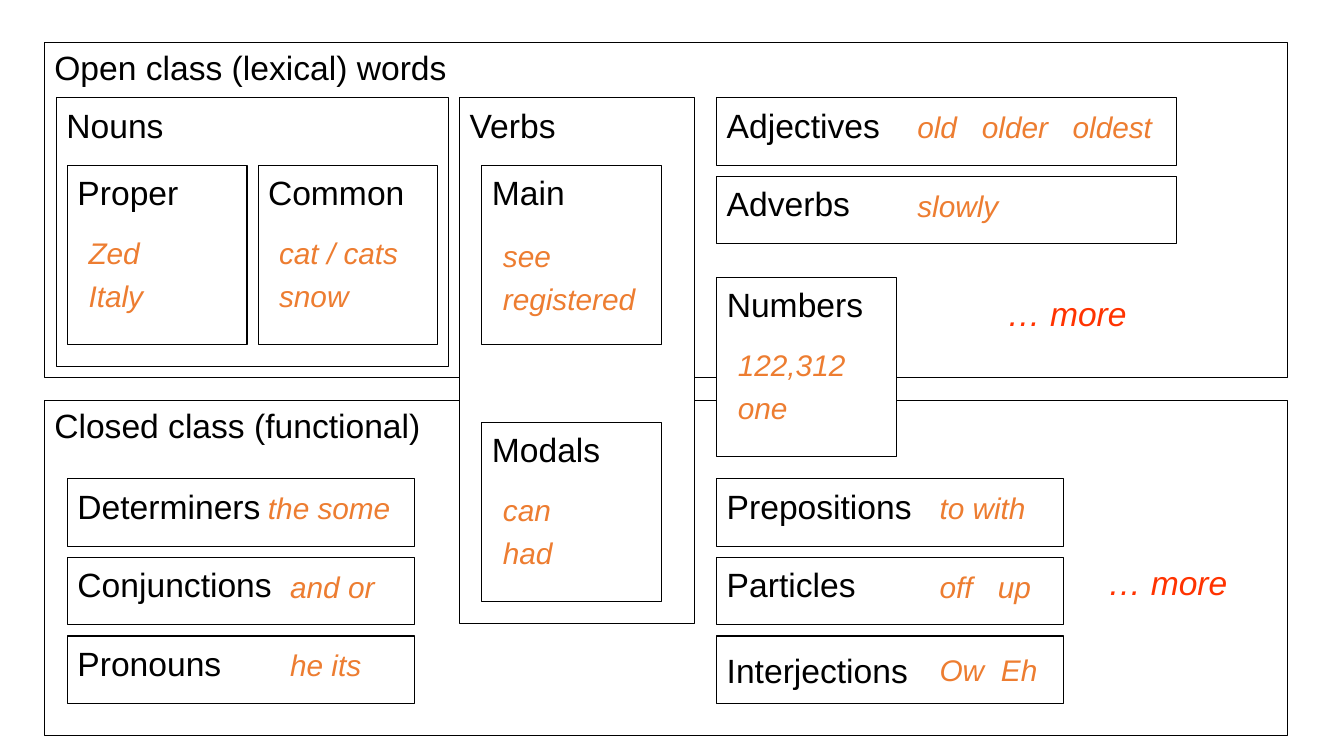
import pptx
import pptx.util
import pptx.dml.color
import pptx.enum.shapes
import pptx.enum.text
import pptx.oxml
import pptx.oxml.ns
from pptx.util import Inches

COLORS = {"ink": "000000", "paper": "FFFFFF", "example": "ED7D31", "more": "FF3300"}
LABEL_SIZE = 24
EXAMPLE_SIZE = 21.3
SQUARE = 1.78
ROW_H = 0.67
ROW_STEP = 0.78


def rgb(name):
    return pptx.dml.color.RGBColor.from_string(COLORS[name])


def add_tabs(p, stops):
    tabs = pptx.oxml.parse_xml("<a:tabLst %s/>" % pptx.oxml.ns.nsdecls("a"))
    for stop in stops:
        tab = tabs.makeelement(pptx.oxml.ns.qn("a:tab"), {"pos": str(Inches(stop)), "algn": "l"})
        tabs.append(tab)
    p._p.get_or_add_pPr().append(tabs)


def write(tf, lines, size, color, italic=False, tabs=()):
    for i, line in enumerate(lines):
        p = tf.paragraphs[0] if i == 0 else tf.add_paragraph()
        if tabs:
            add_tabs(p, tabs)
        p.alignment = pptx.enum.text.PP_ALIGN.LEFT
        if i:
            p.space_before = pptx.util.Pt(5)
        r = p.add_run()
        r.text = line
        r.font.name = "Arial"
        r.font.size = pptx.util.Pt(size)
        r.font.italic = italic
        r.font.color.rgb = rgb(color)


def add_text(s, x, y, w, h, lines, size, color, italic=False, tabs=()):
    tf = s.shapes.add_textbox(Inches(x), Inches(y), Inches(w), Inches(h)).text_frame
    tf.word_wrap = True
    tf.auto_size = pptx.enum.text.MSO_AUTO_SIZE.SHAPE_TO_FIT_TEXT
    write(tf, lines, size, color, italic, tabs)


def add_label(s, x, y, w, text):
    add_text(s, x, y, w, 0.5, [text], LABEL_SIZE, "ink")


def add_more(s, x, y, w):
    add_text(s, x, y, w, 0.5, ["… more"], LABEL_SIZE, "more", True)


def add_box(s, x, y, w, h, filled=True):
    sp = s.shapes.add_shape(pptx.enum.shapes.MSO_SHAPE.RECTANGLE,
                            Inches(x), Inches(y), Inches(w), Inches(h))
    sp.shadow.inherit = False
    if filled:
        sp.fill.solid()
        sp.fill.fore_color.rgb = rgb("paper")
    else:
        sp.fill.background()
    sp.line.color.rgb = rgb("ink")
    sp.line.width = pptx.util.Pt(0.75)
    return sp


def add_class(s, y, title, title_w):
    add_box(s, 0.44, y, 12.33, 3.33, False)
    add_label(s, 0.44, y, title_w, title)


def add_group(s, x, w, h, label):
    add_box(s, x, 0.97, w, h)
    add_label(s, x, 0.99, 2.11, label)


def add_square(s, x, y, label, examples, drop=0.64):
    add_box(s, x, y, SQUARE, SQUARE)
    add_label(s, x, y + 0.02, SQUARE, label)
    add_text(s, x + 0.11, y + drop, 1.67, 0.89, examples, EXAMPLE_SIZE, "example", True)


def add_row(s, x, y, w, label, example, example_x, example_w=1.67, tabs=()):
    add_box(s, x, y, w, ROW_H)
    add_label(s, x, y + 0.02, 2.56, label)
    add_text(s, example_x, y + 0.06, example_w, 0.46, [example], EXAMPLE_SIZE, "example", True, tabs)


def add_centred_row(s, x, y, w, label, example, example_x, tabs):
    tf = add_box(s, x, y, w, ROW_H).text_frame
    tf.word_wrap = False
    tf.vertical_anchor = pptx.enum.text.MSO_ANCHOR.MIDDLE
    write(tf, [label], LABEL_SIZE, "ink")
    add_text(s, example_x, y + 0.11, 1.67, 0.46, [example], EXAMPLE_SIZE, "example", True, tabs)


def main():
    prs = pptx.Presentation()
    prs.slide_width = Inches(13.33)
    prs.slide_height = Inches(7.5)
    s = prs.slides.add_slide(prs.slide_layouts[6])

    add_class(s, 0.42, "Open class (lexical) words", 4.78)
    add_class(s, 3.97, "Closed class (functional)", 5.33)

    add_group(s, 0.56, 3.89, 2.67, "Nouns")
    add_group(s, 4.56, 2.33, 5.22, "Verbs")
    add_square(s, 0.67, 1.64, "Proper", ["Zed", "Italy"])
    add_square(s, 2.56, 1.64, "Common", ["cat / cats", "snow"])
    add_square(s, 4.78, 1.64, "Main", ["see", "registered"], 0.67)
    add_square(s, 4.78, 4.19, "Modals", ["can", "had"])
    add_square(s, 7.11, 2.75, "Numbers", ["122,312", "one"])

    add_row(s, 7.11, 0.97, 4.56, "Adjectives", "old\tolder\toldest", 9, 2.89, (0.64, 1.54))
    add_row(s, 7.11, 0.97 + ROW_STEP, 4.56, "Adverbs", "slowly", 9)

    closed_rows = [
        ("Determiners", "the some", 2.56),
        ("Conjunctions", "and or", 2.78),
        ("Pronouns", "he its", 2.78),
    ]
    for i, (label, example, example_x) in enumerate(closed_rows):
        add_row(s, 0.67, 4.75 + i * ROW_STEP, 3.44, label, example, example_x)

    add_row(s, 7.11, 4.75, 3.44, "Prepositions", "to with", 9.22)
    add_row(s, 7.11, 4.75 + ROW_STEP, 3.44, "Particles", "off\tup", 9.22, tabs=(0.58,))
    add_centred_row(s, 7.11, 4.75 + 2 * ROW_STEP, 3.44, "Interjections", "Ow\tEh", 9.22, (0.61,))

    add_more(s, 9.89, 2.86, 2.11)
    add_more(s, 10.89, 5.53, 1.67)
    prs.save("out.pptx")


if __name__ == "__main__":
    main()
